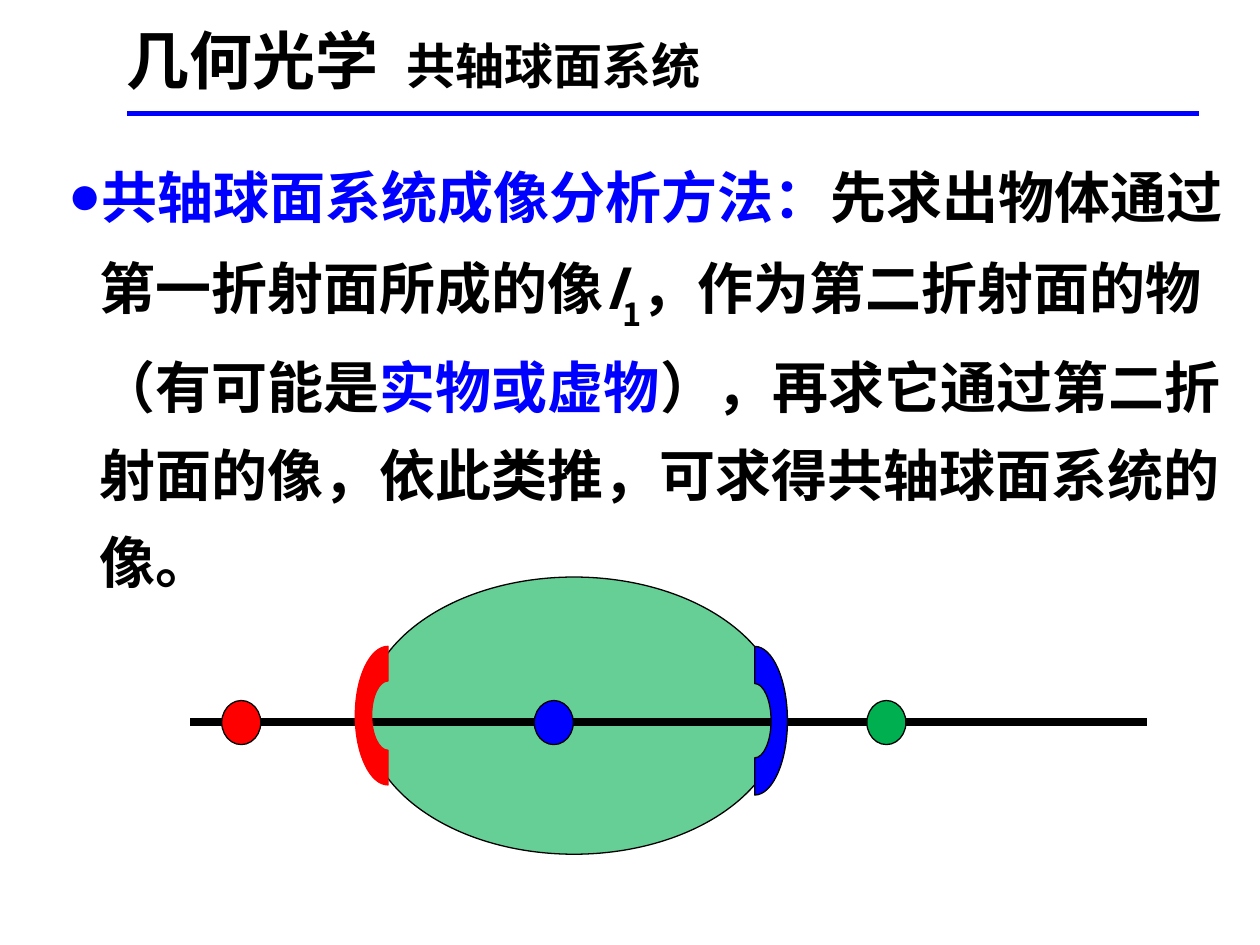
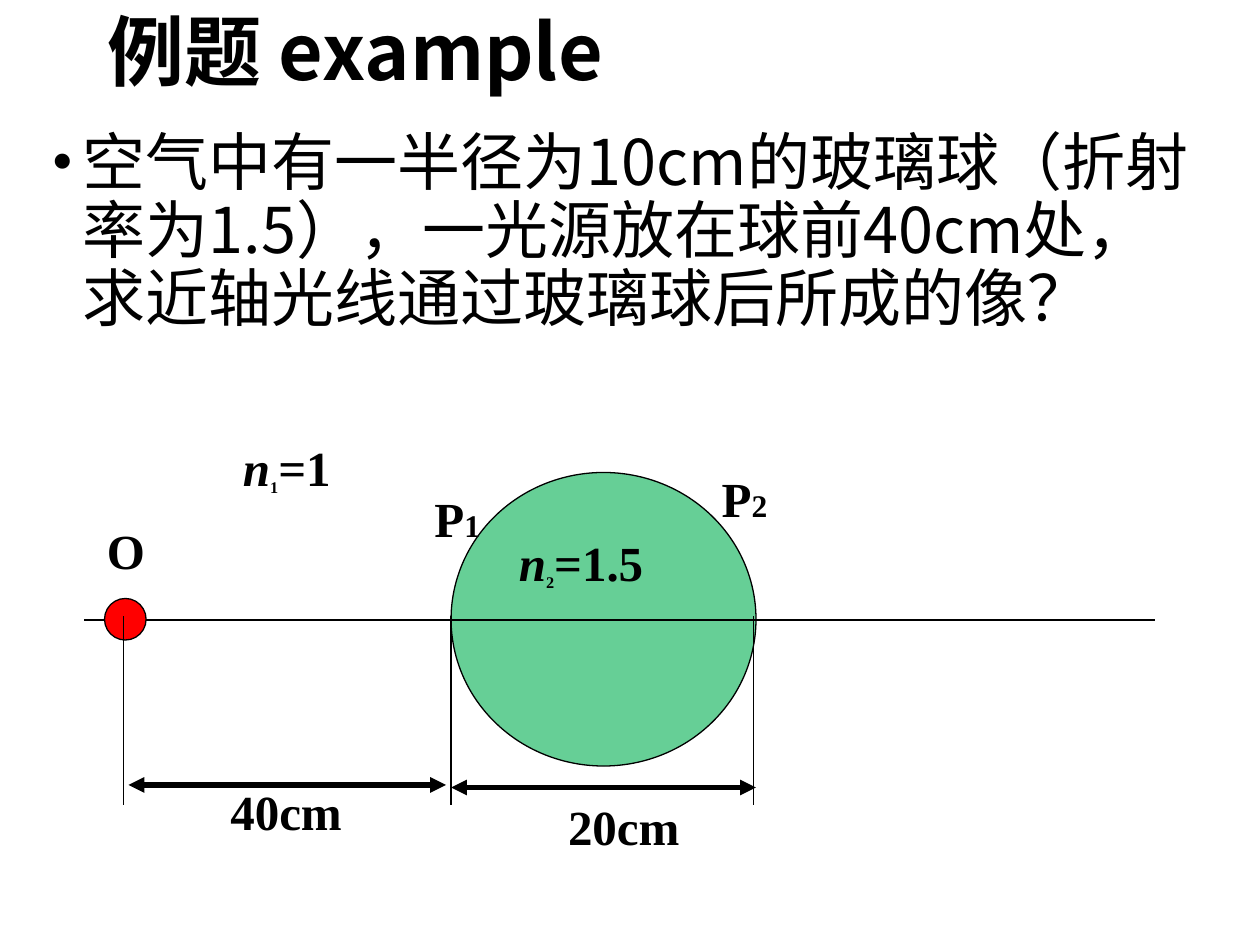
from dataclasses import dataclass

from lxml.etree import SubElement
from pptx import Presentation
from pptx.dml.color import RGBColor
from pptx.enum.shapes import MSO_CONNECTOR, MSO_SHAPE
from pptx.enum.text import MSO_ANCHOR, MSO_AUTO_SIZE, PP_ALIGN
from pptx.oxml.ns import qn
from pptx.util import Inches, Pt


@dataclass(frozen=True)
class Theme:
    black: str = "000000"
    blue: str = "0000FF"
    red: str = "FF0000"
    green: str = "00B050"
    glass_alpha: int = 60000
    chinese: str = "Noto Sans CJK SC"
    latin: str = "Calibri"
    serif: str = "Times New Roman"
    title: int = 44
    heading: int = 36
    subheading: int = 28
    method: int = 32
    question: int = 36
    label: int = 28
    point_index: int = 18
    medium_index: int = 16
    thin: float = 0.75


THEME = Theme()


def write_runs(para, runs, font, size, bold=True):
    """Add (text, changes) runs; changes may hold size, colour, italic and baseline."""
    for text, changes in runs:
        span = para.add_run()
        span.text = text
        span.font.name = font
        span.font.size = Pt(changes.get("size", size))
        span.font.bold = bold
        span.font.italic = changes.get("italic", False)
        span.font.color.rgb = RGBColor.from_string(changes.get("colour", THEME.black))
        properties = span._r.get_or_add_rPr()
        SubElement(properties, qn("a:ea"), typeface=THEME.chinese)
        if "baseline" in changes:
            properties.set("baseline", str(changes["baseline"] * 1000))


def draw_line(page, start, end, width=THEME.thin, colour=THEME.black, arrows=False):
    line = page.shapes.add_connector(
        MSO_CONNECTOR.STRAIGHT, *(Inches(value) for value in (*start, *end)))
    line.line.color.rgb = RGBColor.from_string(colour)
    line.line.width = Pt(width)
    if arrows:
        outline = line.line._get_or_add_ln()
        for end_name in ("a:headEnd", "a:tailEnd"):
            SubElement(outline, qn(end_name), type="triangle")
    SubElement(line._element.spPr, qn("a:effectLst"))


deck = Presentation()
deck.slide_width, deck.slide_height = Inches(10), Inches(7.5)
title_only = deck.slide_layouts[5]
method_page, example_page = (deck.slides.add_slide(title_only) for _ in range(2))

# Titles
titles = [
    (method_page, (0.9, 0.27, 8.62, 0.48), THEME.latin, THEME.heading,
     [("几何光学  ", {}), ("共轴球面系统", {"size": THEME.subheading})]),
    (example_page, (0.75, -0.01, 8.5, 0.9), THEME.chinese, THEME.title,
     [("例题 example", {})]),
]
for page, place, font, size, runs in titles:
    title = page.shapes.title
    title.left, title.top, title.width, title.height = map(Inches, place)
    frame = title.text_frame
    frame.auto_size = MSO_AUTO_SIZE.NONE
    frame.vertical_anchor = MSO_ANCHOR.MIDDLE
    para = frame.paragraphs[0]
    para.alignment = PP_ALIGN.LEFT
    para.line_spacing = 0.9
    write_runs(para, runs, font, size)
draw_line(method_page, (1.01, 0.9), (9.52, 0.9), 2.75, THEME.blue)

# Bulleted statements
method = [
    ("共轴球面系统成像分析方法：", {"colour": THEME.blue}),
    ("先求出物体通过第一折射面所成的像", {}),
    ("I", {"italic": True}),
    ("1", {"baseline": -30}),
    ("，作为第二折射面的物（有可能是", {}),
    ("实物或虚物", {"colour": THEME.blue}),
    ("），再求它通过第二折射面的像，依此类推，可求得共轴球面系统的像。", {}),
]
question = [("空气中有一半径为10cm的玻璃球（折射率为1.5），"
             "一光源放在球前40cm处，求近轴光线通过玻璃球后所成的像？", {})]
statements = [
    (method_page, (0.44, 1.08, 9.39, 3.5), "●", 1.3, THEME.method, True, method),
    (example_page, (0.31, 0.99, 9.37, 2.09), "•", 0.9, THEME.question, False, question),
]
for page, place, bullet, spacing, size, bold, runs in statements:
    box = page.shapes.add_textbox(*map(Inches, place))
    box.text_frame.word_wrap = True
    para = box.text_frame.paragraphs[0]
    para.line_spacing = spacing
    para.space_before = Pt(10)
    properties = para._p.get_or_add_pPr()
    properties.set("marL", str(Inches(0.25)))
    properties.set("indent", str(-Inches(0.25)))
    SubElement(properties, qn("a:buFont"), typeface=THEME.serif)
    SubElement(properties, qn("a:buChar"), char=bullet)
    write_runs(para, runs, THEME.chinese, size, bold)

# Glass bodies, optical axes and points, from back to front
glass = [(method_page, (2.9, 4.58, 3.31, 2.2)), (example_page, (3.58, 3.75, 2.42, 2.33))]
points = [(method_page, (left, 5.56, 0.31, 0.35), colour) for left, colour in
          ((1.76, THEME.red), (4.24, THEME.blue), (6.88, THEME.green))]
points.append((example_page, (0.83, 4.75, 0.33, 0.33), THEME.red))
ovals = [(page, place, THEME.green, True) for page, place in glass]
ovals += [(page, place, colour, False) for page, place, colour in points]
for number, (page, place, colour, is_glass) in enumerate(ovals):
    if number == len(glass):
        draw_line(method_page, (1.51, 5.73), (9.1, 5.73), 4.5)
        draw_line(example_page, (0.67, 4.92), (9.17, 4.92))
    oval = page.shapes.add_shape(MSO_SHAPE.OVAL, *map(Inches, place))
    oval.shadow.inherit = False
    oval.fill.solid()
    oval.fill.fore_color.rgb = RGBColor.from_string(colour)
    oval.line.color.rgb = RGBColor.from_string(THEME.black)
    oval.line.width = Pt(THEME.thin)
    if is_glass:
        tint = oval._element.spPr.find(qn("a:solidFill"))[0]
        SubElement(tint, qn("a:alpha"), val=str(THEME.glass_alpha))

# Refracting surfaces: half rings whose inner radii are half the outer ones
bend = 0.55
half_circle = [(0, -1), (bend, -1), (1, -bend), (1, 0), (1, bend), (bend, 1), (0, 1)]
half_ring = half_circle + [(x / 2, y / 2) for x, y in reversed(half_circle)]
surfaces = [
    (5.99, 5.72, 0.59, 1, THEME.blue, THEME.black),
    (3.08, 5.68, 0.55, -1, THEME.red, THEME.red),
]
for centre_x, centre_y, radius_y, side, colour, edge in surfaces:
    outline = [(Inches(centre_x + side * 0.26 * x), Inches(centre_y + radius_y * y))
               for x, y in half_ring]
    builder = method_page.shapes.build_freeform(*outline[0])
    builder.add_line_segments(outline[1:], close=True)
    surface = builder.convert_to_shape()
    # Each three segments of an arc become one Bézier curve
    segments = list(surface._element.iter(qn("a:lnTo")))
    for first in (0, 3, 7, 10):
        curve = SubElement(segments[first].getparent(), qn("a:cubicBezTo"))
        segments[first].addprevious(curve)
        for segment in segments[first:first + 3]:
            curve.append(segment[0])
            segment.getparent().remove(segment)
    surface.shadow.inherit = False
    surface.fill.solid()
    surface.fill.fore_color.rgb = RGBColor.from_string(colour)
    surface.line.color.rgb = RGBColor.from_string(edge)
    surface.line.width = Pt(THEME.thin)

# Example labels
medium_index = {"size": THEME.medium_index, "baseline": -25}
point_index = {"size": THEME.point_index}
labels = [
    (4.02, 4.18, 1.83, True, [("n", {"italic": True}), ("2", medium_index), ("=1.5", {})]),
    (1.83, 3.42, 0.91, False, [("n", {"italic": True}), ("1", medium_index), ("=1", {})]),
    (3.35, 3.83, 0.56, False, [("P", {}), ("1", point_index)]),
    (5.63, 3.67, 0.67, True, [("P", {}), ("2", point_index)]),
    (0.75, 4.08, 0.5, False, [("O", {})]),
    (4.41, 6.27, 1.38, True, [("20cm", {})]),
    (1.73, 6.15, 1.38, True, [("40cm", {})]),
]
for left, top, width, wraps, runs in labels:
    box = example_page.shapes.add_textbox(*map(Inches, (left, top, width, 0.57)))
    box.text_frame.word_wrap = wraps
    box.text_frame.auto_size = MSO_AUTO_SIZE.SHAPE_TO_FIT_TEXT
    para = box.text_frame.paragraphs[0]
    para.alignment = PP_ALIGN.JUSTIFY
    write_runs(para, runs, THEME.serif, THEME.label)

# Distances along the axis
for x in (0.98, 3.58, 5.98):
    draw_line(example_page, (x, 4.89), (x, 6.39))
for start_x, end_x, y in ((1.02, 3.54, 6.23), (3.58, 6, 6.25)):
    draw_line(example_page, (start_x, y), (end_x, y), 3, arrows=True)

deck.save("out.pptx")
